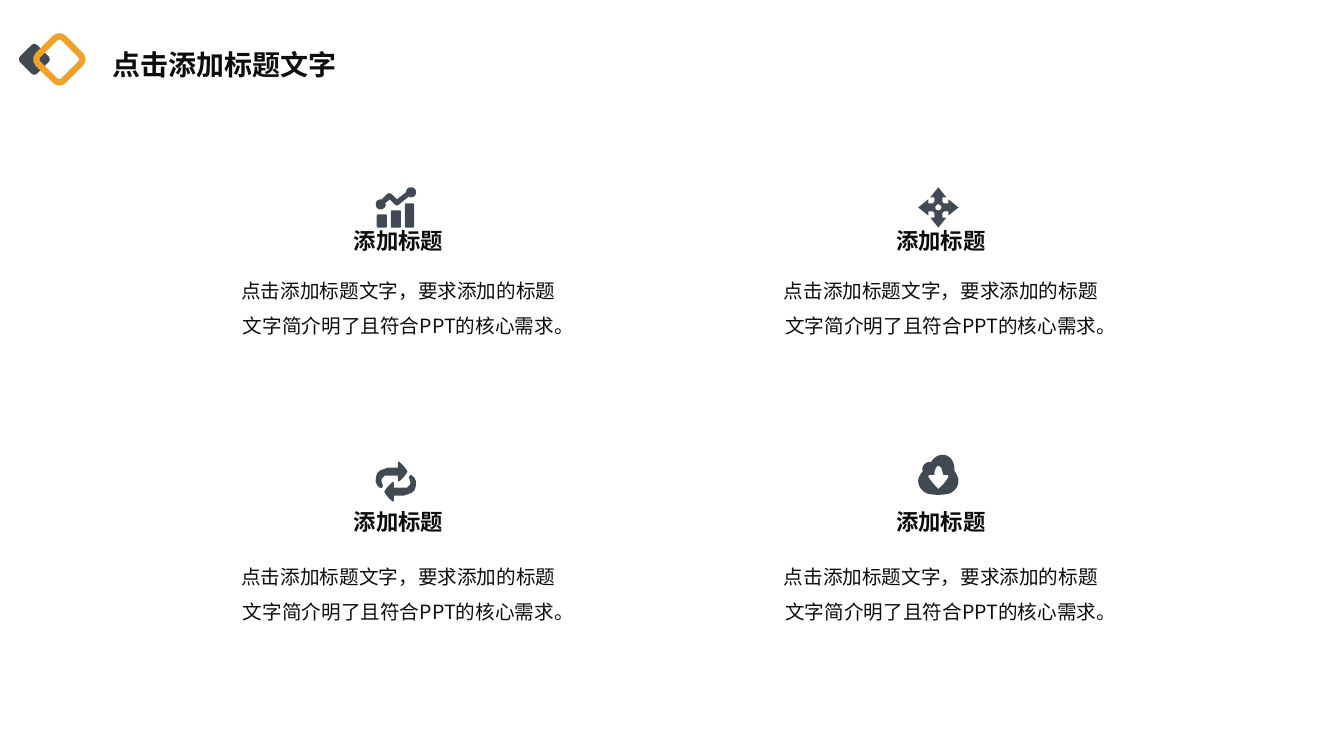
from math import cos, pi, sin

from lxml.etree import SubElement
from pptx import Presentation
from pptx.dml.color import RGBColor
from pptx.enum.shapes import MSO_SHAPE
from pptx.enum.text import MSO_AUTO_SIZE, PP_ALIGN
from pptx.oxml.ns import qn
from pptx.util import Cm, Pt

SLATE = RGBColor(0x41, 0x49, 0x54)
AMBER = RGBColor(0xEF, 0xA1, 0x28)
INK = RGBColor(0x0D, 0x0D, 0x0D)
FONT = "Noto Sans CJK SC"
HEAD = "点击添加标题文字"
LABEL = "添加标题"
BODY = "点击添加标题文字，要求添加的标题文字简介明了且符合PPT的核心需求。"

# Icons sit on a 40 x 40 grid: pairs are corners, sixes are Bezier curves
GRID = 40
SIZE = Cm(1.016)
FINE = 100

TREND = [
    (35, 0), (38, 0, 40, 2, 40, 5), (40, 8, 38, 10, 35, 10), (34, 10), (33, 9),
    (22, 18), (21, 18, 19, 18, 19, 17), (14, 12), (9, 16), (10, 17),
    (10, 20, 7, 22, 5, 22), (2, 22, 0, 20, 0, 17), (0, 14, 2, 12, 5, 12),
    (6, 12), (12, 6), (13, 6, 15, 6, 16, 7), (21, 12), (30, 5),
    (30, 2, 32, 0, 35, 0),
]
ARM = [(40, 20), (30, 28), (30, 24), (25.5, 24), (24, 25.5), (24, 30), (28, 30)]
HOOK = [
    (23, 0), (24, 1), (28, 4, 31, 9, 31, 9), (31.5, 9.5, 31.5, 10, 31, 11),
    (31, 11, 28, 16, 24, 19), (23, 20), (22, 19), (22, 14), (15, 14),
    (12, 14), (9, 14), (8, 15, 7, 16, 6, 17), (6, 18, 5, 19, 6, 20), (6, 22),
    (7, 23), (7, 24, 7, 26, 6, 26), (5, 27, 4, 26, 4, 26), (3, 25),
    (2, 25, 1, 23, 0, 20), (0, 18, 0, 16, 1, 13), (1, 12, 2, 11, 3, 10),
    (4, 9, 6, 8, 7, 8), (10, 7, 11, 6, 15, 6), (22, 6), (22, 1),
]
CLOUD = [
    (36, 16), (36, 14), (36, 6, 31, 0, 24, 0), (20, 0, 15, 3, 13, 7), (12, 7),
    (8, 7, 4, 10, 4, 15), (5, 16), (2, 19, 0, 23, 0, 26),
    (0, 32, 5, 38, 11, 39), (17, 40, 23, 40, 29, 39),
    (35, 38, 40, 32, 40, 26), (40, 23, 38, 19, 36, 16),
]
DOWN = [
    (21, 33), (20, 34), (19, 33), (19, 33, 14, 28, 10, 22), (10, 21), (11, 20),
    (16, 20), (16, 17, 17, 13, 18, 13), (18, 12, 19, 11, 20, 11),
    (21, 11, 22, 12, 23, 13), (23, 13, 24, 17, 25, 20), (29, 20), (30, 21),
    (30, 22), (27, 28, 21, 33, 21, 33),
]


def bar(left, top, right):
    """Outline of a chart bar with softened corners."""
    low = GRID
    return [
        (left + 2, top), (right - 2, top), (right, top, right, top, right, top + 2),
        (right, low - 2), (right, low, right, low, right - 2, low),
        (left + 2, low), (left, low, left, low, left, low - 2),
        (left, top + 2), (left, top, left, top, left + 2, top),
    ]


def chart():
    return [bar(1, 27, 11), bar(15, 23, 25), bar(29, 16, 38), TREND]


def arrows():
    cross, arm = [], ARM
    for _ in range(4):
        cross += arm
        arm = [(GRID - y, x) for x, y in arm]
    steps = [k * pi / 12 for k in range(24)]
    hole = [(20 + 3 * cos(a), 20 + 3 * sin(a)) for a in steps]
    return [cross, hole]


def loop():
    return [HOOK, [tuple(GRID - v for v in step) for step in HOOK]]


def cloud():
    return [CLOUD, DOWN]


def flat(path):
    """Turn corners and curves into fine grid points."""
    pts = []
    for step in path:
        if len(step) == 2:
            pts.append(step)
            continue
        ctrl = [pts[-1], step[:2], step[2:4], step[4:]]
        for k in range(1, 9):
            t = k / 8
            mix = ((1 - t) ** 3, 3 * t * (1 - t) ** 2, 3 * t * t * (1 - t), t ** 3)
            pts.append(tuple(sum(m * c[i] for m, c in zip(mix, ctrl)) for i in (0, 1)))
    return [(x * FINE, y * FINE) for x, y in pts]


def icon(slide, paths, left, top):
    first, *rest = [flat(path) for path in paths]
    form = slide.shapes.build_freeform(*first[0], scale=SIZE / GRID / FINE)
    form.add_line_segments(first[1:], close=True)
    for pts in rest:
        form.move_to(*pts[0])
        form.add_line_segments(pts[1:], close=True)
    shape = form.convert_to_shape(left, top)
    shape.shadow.inherit = False
    shape.fill.solid()
    shape.fill.fore_color.rgb = SLATE
    shape.line.fill.background()


def text(slide, words, box, size, bold=False, align=PP_ALIGN.CENTER, space=None):
    frame = slide.shapes.add_textbox(*box).text_frame
    frame.word_wrap = True
    frame.auto_size = MSO_AUTO_SIZE.SHAPE_TO_FIT_TEXT
    para = frame.paragraphs[0]
    para.alignment = align
    para.line_spacing = space
    run = para.add_run()
    run.text = words
    font = run.font
    font.size, font.bold, font.name = Pt(size), bold, FONT
    font.color.rgb = INK
    SubElement(run._r.get_or_add_rPr(), qn("a:ea"), typeface=FONT)


def diamond(group, left, top, side):
    shape = group.shapes.add_shape(MSO_SHAPE.ROUNDED_RECTANGLE, left, top, side, side)
    shape.rotation = 45
    shape.shadow.inherit = False
    return shape


def badge(slide):
    group = slide.shapes.add_group_shape()
    solid = diamond(group, Cm(0.56), Cm(1.19), Cm(0.61))
    solid.fill.solid()
    solid.fill.fore_color.rgb = SLATE
    solid.line.fill.background()
    ring = diamond(group, Cm(1.04), Cm(1.04), Cm(0.91))
    ring.fill.background()
    ring.line.color.rgb = AMBER
    ring.line.width = Pt(4.5)


def main():
    deck = Presentation()
    deck.slide_width, deck.slide_height = Cm(33.87), Cm(19.05)
    slide = deck.slides.add_slide(deck.slide_layouts[6])

    # Four blocks: column left, icon top, label top, body top
    west, east = Cm(5.79), Cm(19.46)
    blocks = [
        (chart(), west, 4.72, 5.61, 6.6),
        (arrows(), east, 4.72, 5.61, 6.6),
        (loop(), west, 11.63, 12.67, 13.82),
        (cloud(), east, 11.46, 12.67, 13.82),
    ]
    for paths, left, high, mid, low in blocks:
        icon(slide, paths, left + Cm(3.68), Cm(high))
        text(slide, LABEL, (left + Cm(1.78), Cm(mid), Cm(4.95), Cm(0.94)), 16, True)
        text(slide, BODY, (left, Cm(low), Cm(8.51), Cm(2.06)), 14, space=1.5)

    # Heading and its badge
    text(slide, HEAD, (Cm(2.59), Cm(1.07), Cm(9.14), Cm(1.12)), 20, True, PP_ALIGN.LEFT)
    badge(slide)
    deck.save("out.pptx")


if __name__ == "__main__":
    main()
